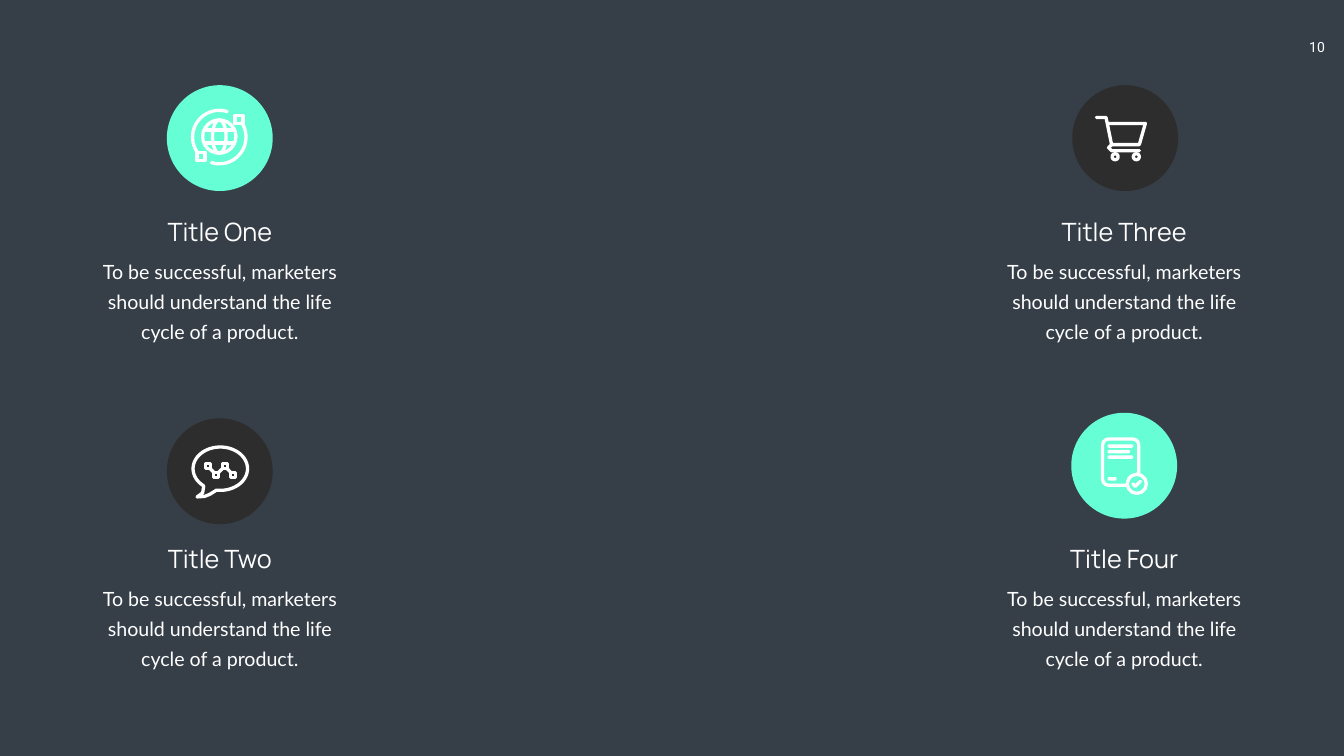
from math import cos, radians, sin

from lxml import etree
from pptx import Presentation
from pptx.dml.color import RGBColor
from pptx.enum.shapes import MSO_CONNECTOR as Connector, MSO_SHAPE as Preset
from pptx.enum.text import MSO_AUTO_SIZE as AutoSize, PP_ALIGN as Align
from pptx.oxml.ns import qn
from pptx.util import Inches, Pt

COLORS = {
    "background": "363E48",
    "mint": "66FFD5",
    "charcoal": "2C2D2C",
    "white": "FFFFFF",
}
SLIDE_W, SLIDE_H = 26.66, 15
CARD_LEFT, CARD_TOP = 1.92, 1.69
CARD_W, CARD_H = 4.88, 5.12
COLUMN_STEP, ROW_STEP = 17.94, 6.5
DISC = 2.1
STROKE = Pt(4.7)
BODY = "To be successful, marketers should understand the life cycle of a product."


def rgb(name):
    return RGBColor.from_string(COLORS[name])


def add_text(slide, box, text, font, size, spacing=None):
    frame = slide.shapes.add_textbox(*map(Inches, box)).text_frame
    frame.word_wrap = True
    frame.auto_size = AutoSize.SHAPE_TO_FIT_TEXT
    paragraph = frame.paragraphs[0]
    paragraph.text = text
    paragraph.alignment = Align.CENTER
    paragraph.line_spacing = spacing
    paragraph.font.name = font
    paragraph.font.size = Pt(size)
    paragraph.font.color.rgb = rgb("white")


def arc(x, y, rx, ry, start, end, step=5):
    angles = [radians(a) for a in range(start, end + 1, step)]
    return [(x + rx * cos(a), y + ry * sin(a)) for a in angles]


def square(x, y, half):
    return [(x - half, y - half), (x + half, y - half), (x + half, y + half),
            (x - half, y + half), (x - half, y - half)]


class IconPen:
    def __init__(self, slide, x, y):
        self.shapes, self.x, self.y = slide.shapes, x, y

    def place(self, point):
        return Inches(self.x + point[0]), Inches(self.y + point[1])

    def ink(self, shape):
        shape.line.color.rgb = rgb("white")
        shape.line.width = STROKE
        outline = shape.line._get_or_add_ln()
        outline.set("cap", "rnd")
        etree.SubElement(outline, qn("a:round"))

    def segment(self, start, end):
        line = self.shapes.add_connector(
            Connector.STRAIGHT, *self.place(start), *self.place(end))
        self.ink(line)
        etree.SubElement(line._element.spPr, qn("a:effectLst"))

    def trace(self, *contours, close=False):
        builder = None
        for contour in contours:
            start, *rest = map(self.place, contour)
            if builder:
                builder.move_to(*start)
            else:
                builder = self.shapes.build_freeform(*start)
            builder.add_line_segments(rest, close=close)
        shape = builder.convert_to_shape()
        shape.shadow.inherit = False
        shape.fill.background()
        self.ink(shape)

    def preset(self, kind, center, width, height, fill=None):
        corner = self.place((center[0] - width / 2, center[1] - height / 2))
        shape = self.shapes.add_shape(
            kind, *corner, Inches(width), Inches(height))
        shape.shadow.inherit = False
        if fill:
            shape.fill.solid()
            shape.fill.fore_color.rgb = rgb(fill)
        else:
            shape.fill.background()
        return shape

    def outline(self, kind, center, width, height, fill=None):
        shape = self.preset(kind, center, width, height, fill)
        self.ink(shape)
        return shape

    def bar(self, left, right, y):
        shape = self.preset(Preset.ROUNDED_RECTANGLE, ((left + right) / 2, y),
                            right - left, 0.07, "white")
        shape.adjustments[0] = 0.5
        shape.line.fill.background()


def draw_globe(pen, disc_color):
    for width in (0.66, 0.27):
        pen.outline(Preset.OVAL, (-0.01, -0.03), width, 0.66)
    for y in (-0.16, 0.1):
        pen.segment((-0.31, y), (0.29, y))
    for start in (147, 327):
        pen.trace(arc(-0.01, -0.02, 0.53, 0.53, start, start + 140))
    for satellite in ((0.38, -0.37), (-0.37, 0.36)):
        pen.outline(Preset.RECTANGLE, satellite, 0.16, 0.16)


def draw_bubble(pen, disc_color):
    tail = [(-0.2, 0.46), (-0.3, 0.5), (-0.45, 0.51),
            (-0.34, 0.43), (-0.32, 0.31)]
    pen.trace(arc(0.01, -0.05, 0.54, 0.43, 128, 458) + tail, close=True)
    nodes = [(-0.24, -0.1), (-0.07, 0.07), (0.1, -0.1), (0.26, 0.07)]
    links = []
    for (x1, y1), (x2, y2) in zip(nodes, nodes[1:]):
        dx, dy = 0.3 * (x2 - x1), 0.3 * (y2 - y1)
        links.append([(x1 + dx, y1 + dy), (x2 - dx, y2 - dy)])
    pen.trace(*[square(x, y, 0.05) for x, y in nodes], *links)


def draw_cart(pen, disc_color):
    pen.trace([(-0.57, -0.41), (-0.38, -0.41), (-0.27, 0.13),
               (0.28, 0.13), (0.4, -0.29), (-0.35, -0.29)],
              [(-0.27, 0.13), (-0.33, 0.19), (-0.27, 0.25), (0.28, 0.25)])
    for x in (-0.2, 0.22):
        pen.outline(Preset.OVAL, (x, 0.37), 0.12, 0.12)


def draw_document(pen, disc_color):
    page = pen.outline(Preset.ROUNDED_RECTANGLE, (-0.07, -0.07), 0.72, 0.92)
    page.adjustments[0] = 0.17
    for end, y in ((0.18, -0.39), (0.12, -0.28), (0.18, -0.17), (-0.15, 0.26)):
        pen.bar(-0.33, end, y)
    pen.outline(Preset.OVAL, (0.25, 0.36), 0.38, 0.38, disc_color)
    pen.trace([(0.17, 0.36), (0.22, 0.41), (0.32, 0.31)])


def add_card(slide, box, title, disc_color, draw_icon, disc_shift, disc_drop):
    left, top, width, height = box
    disc_left = left + (width - DISC) / 2 + disc_shift
    disc_top = top + disc_drop
    pen = IconPen(slide, disc_left + DISC / 2, disc_top + DISC / 2)
    disc = pen.preset(Preset.OVAL, (0, 0), DISC, DISC, disc_color)
    disc.line.fill.background()
    draw_icon(pen, disc_color)
    add_text(slide, (left, top + 2.55, width, 0.71), title, "Manrope", 36)
    add_text(slide, (left, top + 3.28, width, height - 3.28),
             BODY, "Lato", 28, Pt(43))


def main():
    deck = Presentation()
    deck.slide_width, deck.slide_height = Inches(SLIDE_W), Inches(SLIDE_H)
    slide = deck.slides.add_slide(deck.slide_layouts[6])
    slide.background.fill.solid()
    slide.background.fill.fore_color.rgb = rgb("background")
    add_text(slide, (25.62, 0.72, 1.01, 0.44), "10", "Roboto", 20)
    cards = [
        ("Title One", "mint", draw_globe, 0, 0),
        ("Title Two", "charcoal", draw_bubble, 0, 0.11),
        ("Title Three", "charcoal", draw_cart, 0.02, 0),
        ("Title Four", "mint", draw_document, 0, 0),
    ]
    for index, card in enumerate(cards):
        column, row = divmod(index, 2)
        box = (CARD_LEFT + column * COLUMN_STEP, CARD_TOP + row * ROW_STEP,
               CARD_W, CARD_H)
        add_card(slide, box, *card)
    deck.save("out.pptx")


if __name__ == "__main__":
    main()
